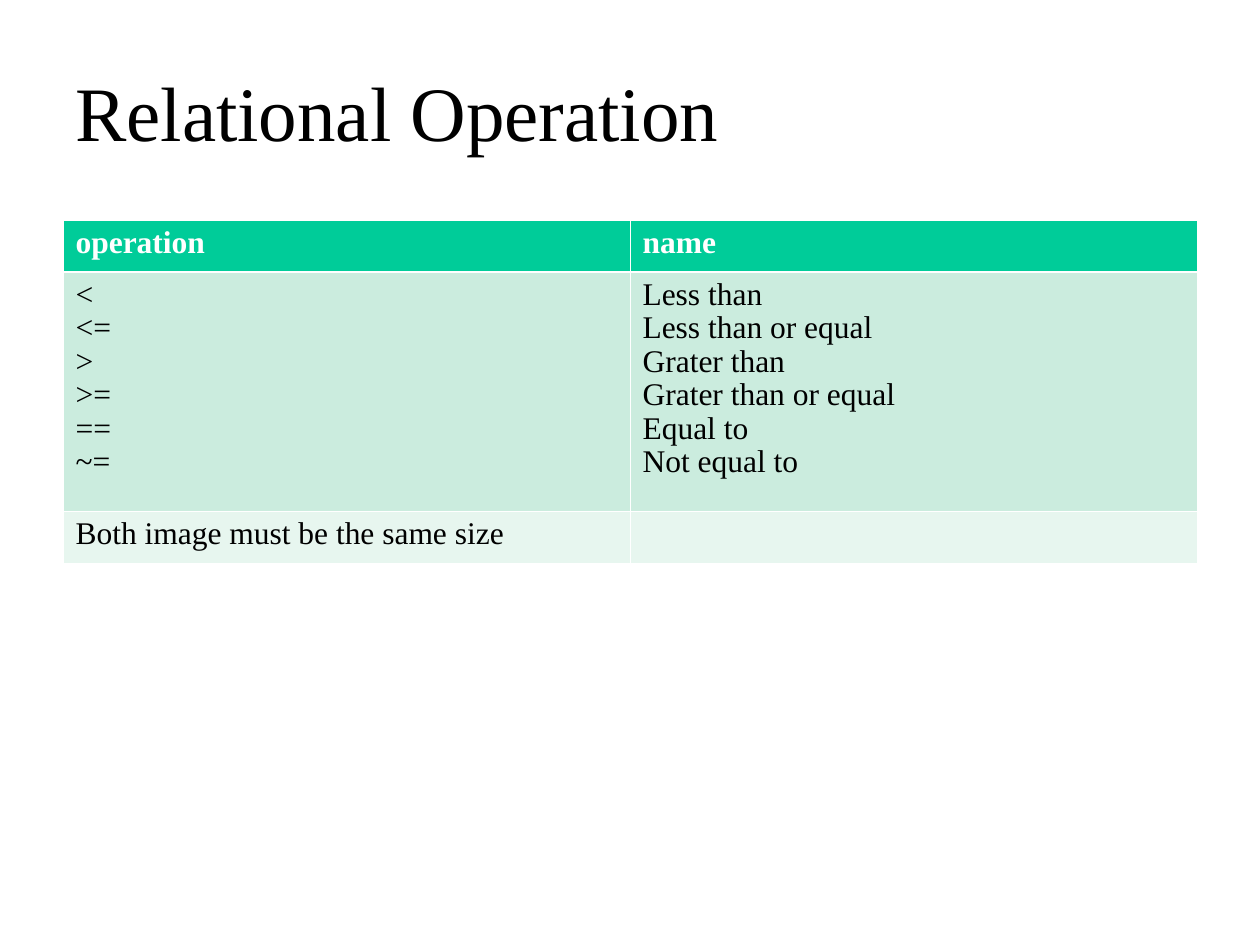
import pptx
import pptx.dml.color
import pptx.enum.text
import pptx.oxml
import pptx.oxml.ns
import pptx.util

RGB = pptx.dml.color.RGBColor
BLACK = RGB(0x00, 0x00, 0x00)
WHITE = RGB(0xFF, 0xFF, 0xFF)
GREEN = RGB(0x00, 0xCC, 0x99)
MINT = RGB(0xCB, 0xEC, 0xDE)
PALE = RGB(0xE7, 0xF6, 0xEF)

WIDE, HIGH = pptx.util.Inches(10), pptx.util.Inches(7.5)
LEFT, SPAN = int(WIDE * 0.05), int(WIDE * 0.9)
THIN, THICK = 0.45, 1.47

SIGNS = {
    "<": "Less than",
    "<=": "Less than or equal",
    ">": "Grater than",
    ">=": "Grater than or equal",
    "==": "Equal to",
    "~=": "Not equal to",
}
ROWS = [
    (0.41, GREEN, ["operation", "name"]),
    (1.9, MINT, ["\n".join(SIGNS), "\n".join(SIGNS.values())]),
    (0.41, PALE, ["Both image must be the same size", ""]),
]


def write(frame, text, size=18, color=BLACK, bold=False, space=0.96):
    frame.word_wrap = True
    frame.text = text
    for para in frame.paragraphs:
        para.alignment = pptx.enum.text.PP_ALIGN.LEFT
        para.line_spacing = space
        font = para.font
        font.name, font.size, font.bold = "Times New Roman", pptx.util.Pt(size), bold
        font.color.rgb = color


def edge(cell, widths):
    props = cell._tc.get_or_add_tcPr()
    for spot, (side, width) in enumerate(zip("LRTB", widths)):
        line = pptx.oxml.parse_xml(
            f'<a:ln{side} {pptx.oxml.ns.nsdecls("a")} w="{pptx.util.Pt(width)}">'
            f'<a:solidFill><a:srgbClr val="{WHITE}"/></a:solidFill></a:ln{side}>'
        )
        props.insert(spot, line)


def title(slide, text):
    box = slide.shapes.add_textbox(LEFT, int(HIGH / 30), SPAN, int(HIGH / 6))
    box.text_frame.vertical_anchor = pptx.enum.text.MSO_ANCHOR.MIDDLE
    write(box.text_frame, text, size=44, space=1.0)


def grid(slide, rows):
    cols = len(rows[0][2])
    high = pptx.util.Inches(sum(row[0] for row in rows))
    frame = slide.shapes.add_table(
        len(rows), cols, LEFT, pptx.util.Inches(1.75), SPAN, high
    )
    table = frame.table
    for i, (tall, fill, texts) in enumerate(rows):
        table.rows[i].height = pptx.util.Inches(tall)
        head = i == 0
        top = THICK if i == 1 else THIN
        base = THICK if head else THIN
        for j, text in enumerate(texts):
            cell = table.cell(i, j)
            cell.fill.solid()
            cell.fill.fore_color.rgb = fill
            edge(cell, (THIN, THIN, top, base))
            write(cell.text_frame, text, color=WHITE if head else BLACK, bold=head)


def main():
    deck = pptx.Presentation()
    deck.slide_width, deck.slide_height = WIDE, HIGH
    slide = deck.slides.add_slide(deck.slide_layouts[6])
    title(slide, "Relational Operation")
    grid(slide, ROWS)
    deck.save("out.pptx")


if __name__ == "__main__":
    main()
